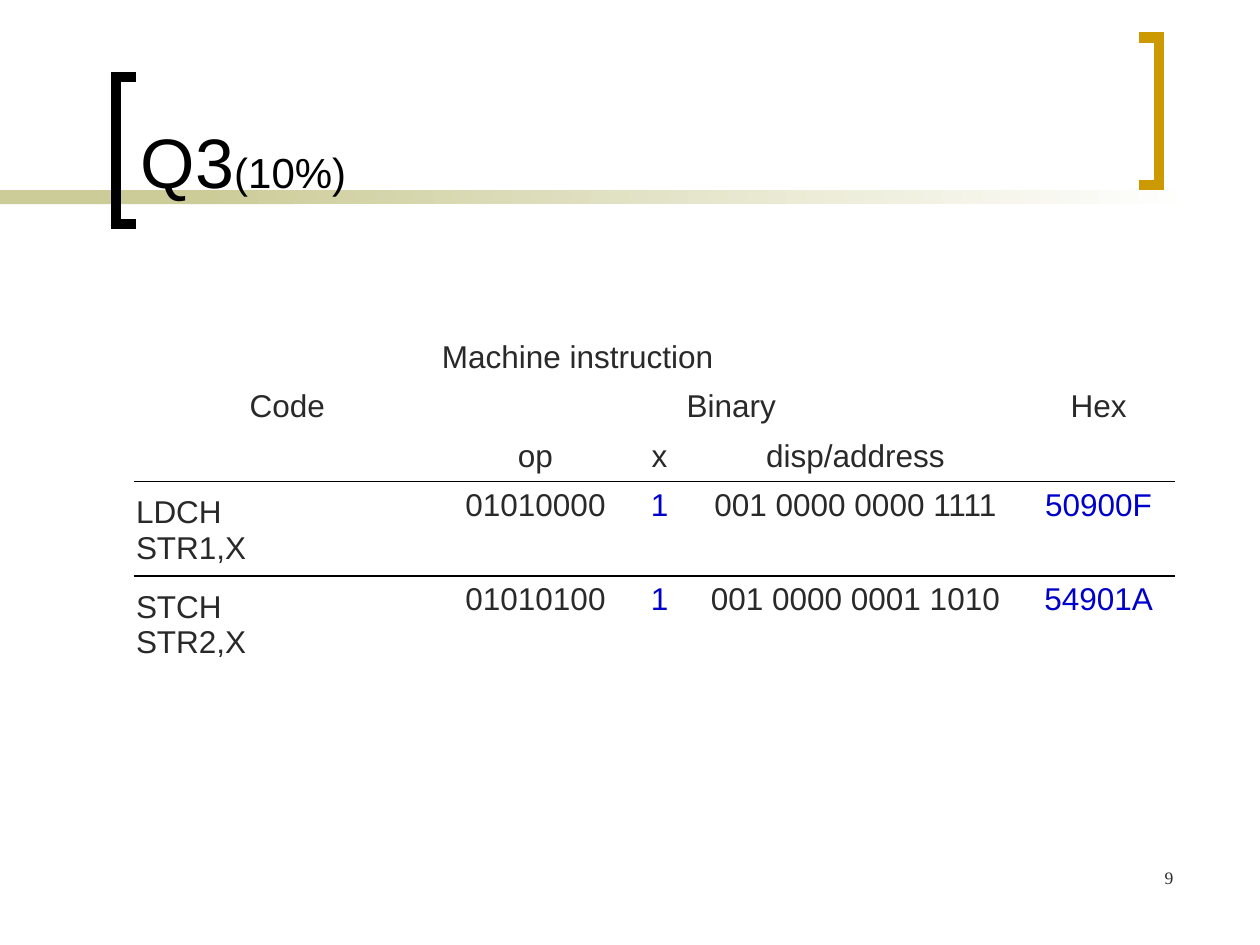
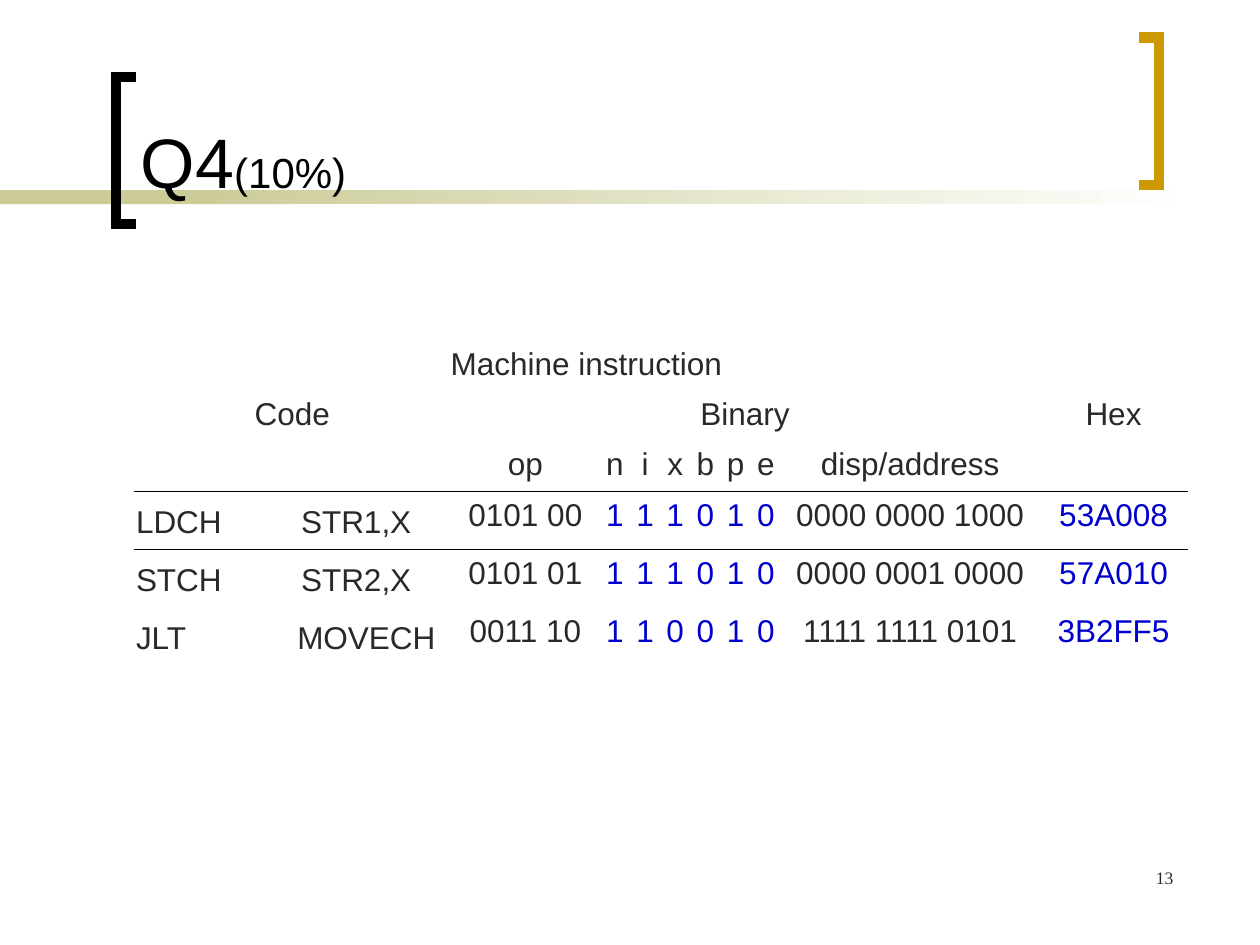
from dataclasses import dataclass

from lxml import etree
from pptx import Presentation
from pptx.dml.color import RGBColor
from pptx.enum.shapes import MSO_SHAPE
from pptx.enum.text import MSO_ANCHOR, PP_ALIGN
from pptx.oxml.ns import qn
from pptx.util import Inches, Pt

RECTANGLE = MSO_SHAPE.RECTANGLE
TOP, BOTTOM = MSO_ANCHOR.TOP, MSO_ANCHOR.BOTTOM
LEFT, CENTER, RIGHT = PP_ALIGN.LEFT, PP_ALIGN.CENTER, PP_ALIGN.RIGHT

BLACK, WHITE, INK, BLUE = "000000", "FFFFFF", "292929", "0000CC"
SAND, GOLD = "CCCC99", "CC9900"
SANS, SERIF = "Arial", "Times New Roman"
PLAIN_TABLE_STYLE = "{2D5ABB26-0587-4C30-8999-92F81FD0307C}"
HEADER_ROWS = 3
RULE_WIDTH = 0.96


@dataclass(frozen=True)
class Band:
    left: float
    width: float
    fades: bool


@dataclass(frozen=True)
class Bracket:
    spine: float
    tip: float
    top: float
    color: str


@dataclass(frozen=True)
class Instruction:
    mnemonic: str
    operand: str
    fields: tuple[str, ...]
    operand_tab: float | None = None


@dataclass(frozen=True)
class Answer:
    question: str
    page_number: str
    table_top: float
    column_widths: tuple[float, ...]
    header_height: float
    body_height: float
    field_names: tuple[str, ...]
    instructions: tuple[Instruction, ...]


BANDS = (Band(0, 2.33, False), Band(1.58, 7.92, True))
BRACKETS = (Bracket(0.92, 1.08, 0.61, BLACK), Bracket(9.2, 9.04, 0.3, GOLD))
BRACKET_HEIGHT = 1.17

ANSWERS = (
    Answer(
        "Q3", "9", 2.65, (2.44, 1.5, 0.47, 2.64, 1.22), 0.38, 0.74,
        ("op", "x", "disp/address"),
        (
            Instruction("LDCH", "STR1,X", ("01010000", "1", "001 0000 0000 1111", "50900F")),
            Instruction("STCH", "STR2,X", ("01010100", "1", "001 0000 0001 1010", "54901A")),
        ),
    ),
    Answer(
        "Q4", "13", 2.7, (2.52, 1.18, *[0.24] * 6, 2.05, 1.18), 0.4, 0.46,
        ("op", *"nixbpe", "disp/address"),
        (
            Instruction("LDCH", "STR1,X", ("0101 00", *"111010", "0000 0000 1000", "53A008"), 1.31),
            Instruction("STCH", "STR2,X", ("0101 01", *"111010", "0000 0001 0000", "57A010"), 1.31),
            Instruction("JLT", "MOVECH", ("0011 10", *"110010", "1111 1111 0101", "3B2FF5"), 1.28),
        ),
    ),
)


def rgb(color: str) -> RGBColor:
    return RGBColor.from_string(color)


def add_span(para, text: str, size: float, color: str = INK, font: str = SANS) -> None:
    span = para.add_run()
    span.text = text
    span.font.size = Pt(size)
    span.font.name = font
    span.font.color.rgb = rgb(color)


def add_box(page, left: float, top: float, width: float, height: float, anchor, align):
    box = page.shapes.add_textbox(Inches(left), Inches(top), Inches(width), Inches(height))
    box.text_frame.word_wrap = True
    box.text_frame.vertical_anchor = anchor
    para = box.text_frame.paragraphs[0]
    para.alignment = align
    return para


def draw_band(page, band: Band) -> None:
    shape = page.shapes.add_shape(
        RECTANGLE, Inches(band.left), Inches(1.51), Inches(band.width), Inches(0.11)
    )
    shape.shadow.inherit = False
    shape.line.fill.background()
    if band.fades:
        shape.fill.gradient()
        shape.fill.gradient_angle = 0
        for stop, color in zip(shape.fill.gradient_stops, (SAND, WHITE)):
            stop.color.rgb = rgb(color)
    else:
        shape.fill.solid()
        shape.fill.fore_color.rgb = rgb(SAND)


def draw_bracket(page, bracket: Bracket) -> None:
    spine, tip, top = Inches(bracket.spine), Inches(bracket.tip), Inches(bracket.top)
    bottom = top + Inches(BRACKET_HEIGHT)
    builder = page.shapes.build_freeform(tip, top)
    builder.add_line_segments([(spine, top), (spine, bottom), (tip, bottom)], close=False)
    shape = builder.convert_to_shape()
    shape.shadow.inherit = False
    shape.fill.background()
    shape.line.color.rgb = rgb(bracket.color)
    shape.line.width = Pt(6)
    outline = shape.line._get_or_add_ln()
    etree.SubElement(outline, qn("a:miter"), lim="800000")


def add_rule(cell, side: str) -> None:
    properties = cell._tc.get_or_add_tcPr()
    border = etree.Element(qn(f"a:{side}"), w=str(Pt(RULE_WIDTH)))
    fill = etree.SubElement(border, qn("a:solidFill"))
    etree.SubElement(fill, qn("a:srgbClr"), val=BLACK)
    properties.insert(0, border)


def write_cell(cell, text: str, color: str = INK) -> None:
    para = cell.text_frame.paragraphs[0]
    para.alignment = CENTER
    add_span(para, text, 18, color)


def write_code(cell, instruction: Instruction) -> None:
    cell.margin_top = Inches(0.11)
    para = cell.text_frame.paragraphs[0]
    para.alignment = LEFT
    add_span(para, instruction.mnemonic, 18)
    if instruction.operand_tab is None:
        para.add_line_break()
        add_span(para, instruction.operand, 18)
    else:
        tabs = etree.SubElement(para._p.get_or_add_pPr(), qn("a:tabLst"))
        etree.SubElement(tabs, qn("a:tab"), pos=str(Inches(instruction.operand_tab)), algn="l")
        add_span(para, "\t" + instruction.operand, 18)


def make_grid(page, answer: Answer):
    widths = answer.column_widths
    heights = [answer.header_height] * HEADER_ROWS
    heights += [answer.body_height] * len(answer.instructions)
    table = page.shapes.add_table(
        len(heights), len(widths), Inches(1.06), Inches(answer.table_top),
        Inches(sum(widths)), Inches(sum(heights)),
    ).table
    table.first_row = table.horz_banding = False
    table._tbl.tblPr.find(qn("a:tableStyleId")).text = PLAIN_TABLE_STYLE
    for column, width in zip(table.columns, widths):
        column.width = Inches(width)
    for row, height in zip(table.rows, heights):
        row.height = Inches(height)
        for cell in row.cells:
            cell.fill.background()
            cell.vertical_anchor = TOP
            cell.margin_left = cell.margin_right = Inches(0.02)
            cell.margin_top, cell.margin_bottom = Inches(0.05), Inches(0.04)
    return table


def draw_table(page, answer: Answer) -> None:
    table = make_grid(page, answer)
    last = len(answer.column_widths) - 1
    table.cell(0, 0).merge(table.cell(0, last - 1))
    table.cell(1, 1).merge(table.cell(1, last - 1))
    table.cell(1, last).merge(table.cell(2, last))

    headings = {(0, 0): "Machine instruction", (1, 0): "Code", (1, 1): "Binary", (1, last): "Hex"}
    headings |= {(2, column): name for column, name in enumerate(answer.field_names, 1)}
    for (row, column), text in headings.items():
        write_cell(table.cell(row, column), text)

    for row, instruction in enumerate(answer.instructions, HEADER_ROWS):
        write_code(table.cell(row, 0), instruction)
        for column, text in enumerate(instruction.fields, 1):
            color = INK if column in (1, last - 1) else BLUE
            write_cell(table.cell(row, column), text, color)

    for column in range(last + 1):
        add_rule(table.cell(HEADER_ROWS - 1, column), "lnB")
        add_rule(table.cell(HEADER_ROWS, column), "lnT")
    add_rule(table.cell(1, last), "lnB")


def draw_page(deck, answer: Answer) -> None:
    page = deck.slides.add_slide(deck.slide_layouts[6])
    for band in BANDS:
        draw_band(page, band)
    for bracket in BRACKETS:
        draw_bracket(page, bracket)
    title = add_box(page, 1.02, 0.11, 7.83, 1.55, BOTTOM, LEFT)
    add_span(title, answer.question, 40, BLACK)
    add_span(title, "(10%)", 24, BLACK)
    draw_table(page, answer)
    footer = add_box(page, 7.33, 6.83, 2.08, 0.5, TOP, RIGHT)
    add_span(footer, answer.page_number, 10, INK, SERIF)


def main() -> None:
    deck = Presentation()
    deck.slide_width, deck.slide_height = Inches(10), Inches(7.5)
    for answer in ANSWERS:
        draw_page(deck, answer)
    deck.save("out.pptx")


if __name__ == "__main__":
    main()
